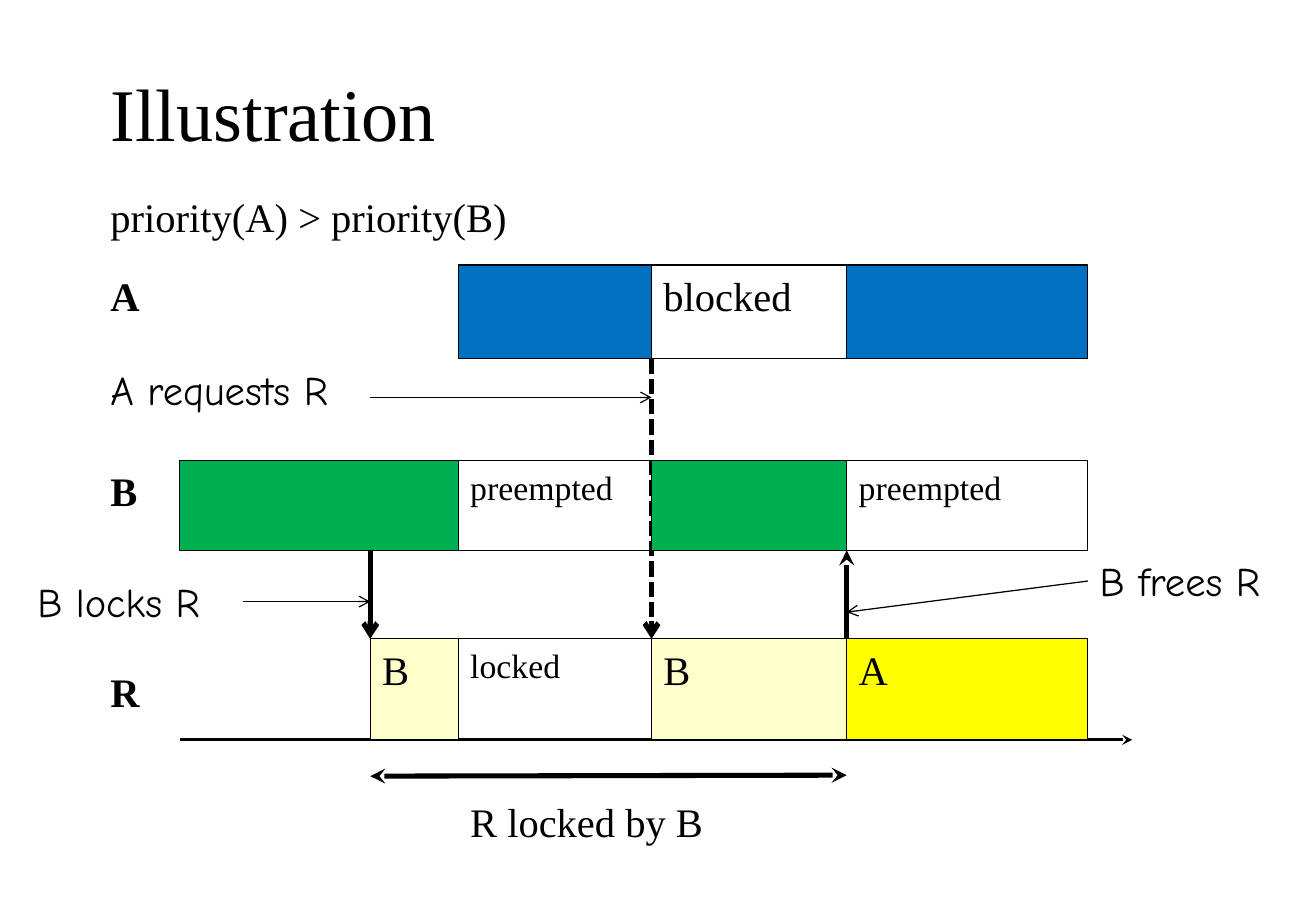
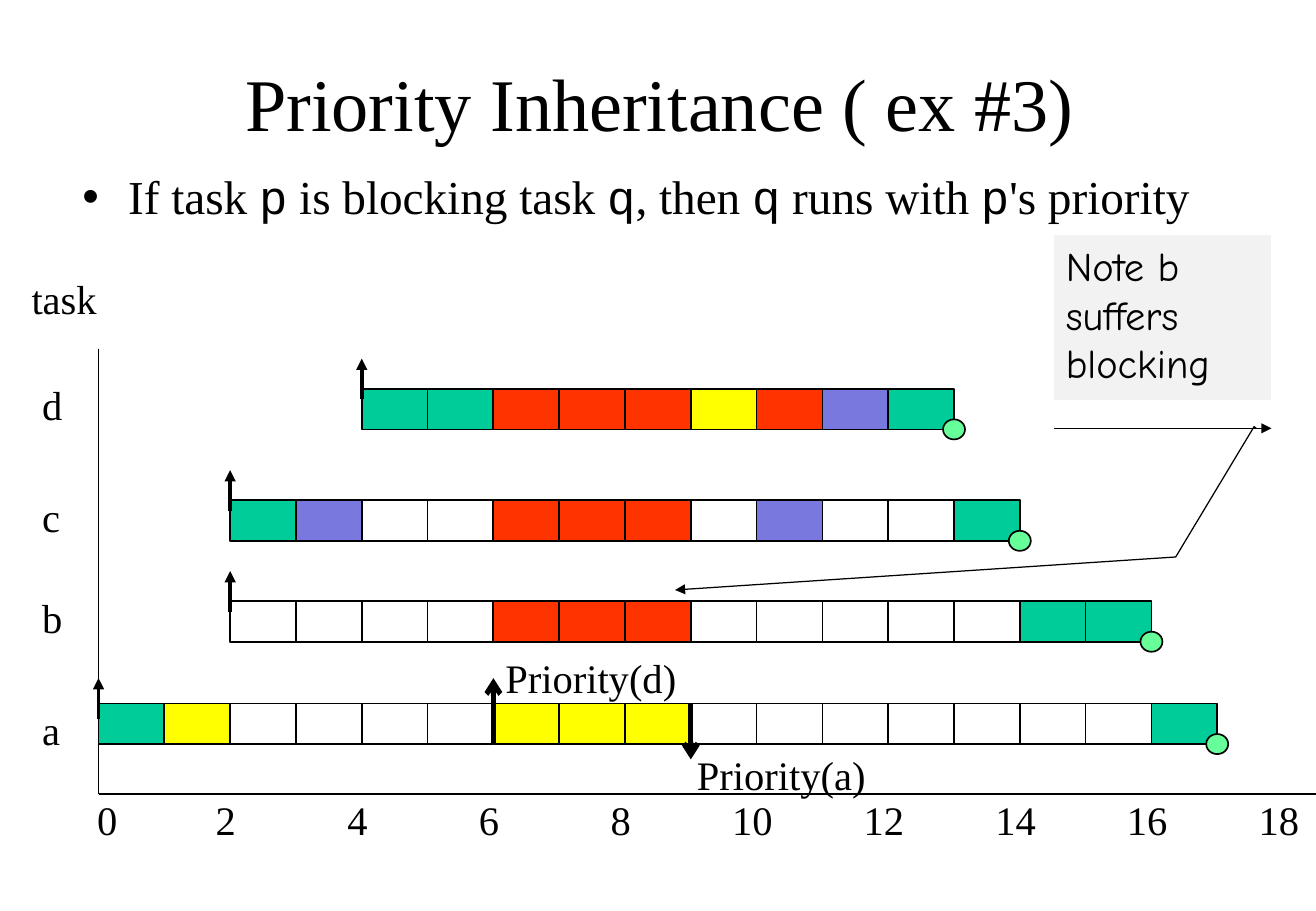
from lxml.etree import SubElement
from pptx import Presentation
from pptx.dml.color import RGBColor
from pptx.enum.dml import MSO_LINE
from pptx.enum.shapes import MSO_CONNECTOR, MSO_SHAPE
from pptx.enum.text import MSO_ANCHOR, MSO_AUTO_SIZE, PP_ALIGN
from pptx.oxml.ns import qn
from pptx.util import Cm, Pt

HUES = {
    "black": "000000", "blue": "0070C0", "green": "00B050", "cream": "FFFFCC",
    "yellow": "FFFF00", "teal": "00CC99", "red": "FF3300", "violet": "7878DE",
    "mint": "66FF99", "grey": "F2F2F2",
}
SERIF, HAND, MONO = "Times New Roman", "Comic Neue", "Courier New"
CODES = {"g": "teal", "y": "yellow", "r": "red", "v": "violet", ".": None}


def hue(name):
    return RGBColor.from_string(HUES[name])


def place(shape, box):
    shape.left, shape.top, shape.width, shape.height = map(Cm, box)


def write(para, text, size=24, font=SERIF, bold=False):
    run = para.add_run()
    run.text = text
    run.font.size = Pt(size)
    run.font.name = font
    run.font.bold = bold
    run.font.color.rgb = hue("black")


def title(slide, text, box, align):
    shape = slide.shapes.title
    place(shape, box)
    frame = shape.text_frame
    frame.auto_size = MSO_AUTO_SIZE.NONE
    frame.vertical_anchor = MSO_ANCHOR.MIDDLE
    frame.paragraphs[0].alignment = align
    write(frame.paragraphs[0], text, 44)


def label(slide, text, x, y, w, align=PP_ALIGN.LEFT, **style):
    shape = slide.shapes.add_textbox(Cm(x), Cm(y), Cm(w), Cm(1.28))
    shape.text_frame.word_wrap = True
    para = shape.text_frame.paragraphs[0]
    para.alignment = align
    write(para, text, **style)
    return shape


def block(slide, kind, box, fill, weight, text="", **style):
    shape = slide.shapes.add_shape(kind, *map(Cm, box))
    shape.shadow.inherit = False
    if fill:
        shape.fill.solid()
        shape.fill.fore_color.rgb = hue(fill)
    else:
        shape.fill.background()
    shape.line.color.rgb = hue("black")
    shape.line.width = Pt(weight)
    if text:
        frame = shape.text_frame
        frame.vertical_anchor = MSO_ANCHOR.TOP
        frame.paragraphs[0].alignment = PP_ALIGN.LEFT
        write(frame.paragraphs[0], text, **style)
    return shape


def tip(shape, end, kind):
    outline = shape.element.spPr.find(qn("a:ln"))
    SubElement(outline, qn(f"a:{end}End"), type=kind)


def line(slide, x1, y1, x2, y2, weight, head=None, tail=None, dash=None):
    link = slide.shapes.add_connector(
        MSO_CONNECTOR.STRAIGHT, Cm(x1), Cm(y1), Cm(x2), Cm(y2))
    link.line.color.rgb = hue("black")
    link.line.width = Pt(weight)
    if dash:
        link.line.dash_style = dash
    for end, kind in (("head", head), ("tail", tail)):
        if kind:
            tip(link, end, kind)
    SubElement(link.element.spPr, qn("a:effectLst"))
    return link


def lanes(slide, box):
    x, y, w, h = box
    start, lock, wait, ask, free, stop = (
        x + step for step in (0, 3.98, 5.82, 9.86, 13.94, w))
    base = y + h
    rows = [
        ("A", y, 1.96, 0, [
            (wait, ask, "blue", "", 24), (ask, free, None, "blocked", 24),
            (free, stop, "blue", "", 24)]),
        ("B", y + 4.09, 1.88, 0, [
            (start, wait, "green", "", 24), (wait, ask, None, "preempted", 20),
            (ask, free, "green", "", 24), (free, stop, None, "preempted", 20)]),
        ("R", y + 7.82, 2.11, 0.46, [
            (lock, wait, "cream", "B", 24), (wait, ask, None, "locked", 20),
            (ask, free, "cream", "B", 24), (free, stop, "yellow", "A", 24)]),
    ]
    under, top = y + 5.97, y + 7.82
    line(slide, x, base, stop + 0.93, base, 2, tail="stealth")
    line(slide, lock, under, lock, top, 3, tail="arrow")
    line(slide, ask, y + 1.96, ask, top, 3, tail="arrow", dash=MSO_LINE.SQUARE_DOT)
    line(slide, free, under, free, top + 0.23, 3, head="stealth")
    for name, edge, high, drop, cells in rows:
        label(slide, name, x - 1.7, edge + drop, 1.7, bold=True)
        for left, right, fill, text, size in cells:
            block(slide, MSO_SHAPE.RECTANGLE, (left, edge, right - left, high),
                  fill, 0.75, text, size=size)
    line(slide, lock, base + 0.76, free, base + 0.74, 3, "stealth", "stealth")
    label(slide, "R locked by B", wait, base + 1.07, 5.8)

    label(slide, "A requests R", x - 1.7, y + 1.96, 5.66, font=HAND)
    line(slide, lock, y + 2.77, ask, y + 2.77, 0.75, tail="arrow")
    frees = label(slide, "B frees R", stop, under, 4.55, font=HAND)
    link = line(slide, stop, under + 0.64, free, under + 1.29, 0.75, tail="arrow")
    link.begin_connect(frees, 1)
    locks = label(slide, "B locks R", x - 3.23, under + 0.43, 4.55, font=HAND)
    link = line(slide, x + 1.32, under + 1.07, lock, under + 1.07, 0.75, tail="arrow")
    link.begin_connect(locks, 3)


def chart(slide, box):
    x, y, w, h = box
    unit, high = w / 18.5, 0.85
    line(slide, x, y, x, y + h, 1)
    line(slide, x, y + h, x + w, y + h, 1)
    label(slide, "task", x - 1.65, y - 1.68, 2.2)
    rows = [
        ("d", 0.84, 4, "ggrrryrvg", 0.63, 0.3),
        ("c", 3.17, 2, "gv..rrr.v..g", 0.63, 0.3),
        ("b", 5.28, 2, "....rrr.....gg", 0.63, 0.3),
        ("a", 7.42, 0, "gy....yyy.......g", 0.53, 0.1),
    ]
    for name, drop, start, cells, rise, lift in rows:
        top = y + drop
        label(slide, name, x - 1.43, top - lift, 1.2)
        for spot, code in enumerate(cells, start):
            block(slide, MSO_SHAPE.RECTANGLE, (x + spot * unit, top, unit, high),
                  CODES[code], 1)
        left, right = x + start * unit, x + (start + len(cells)) * unit
        line(slide, left, top - rise, left, top - rise + high, 2.25, head="triangle")
        block(slide, MSO_SHAPE.OVAL, (right - 0.23, top + high - 0.21, 0.46, 0.42),
              "mint", 1)
    for tick in range(0, 19, 2):
        shift = -0.09 if tick else 0.18
        label(slide, str(tick), x + tick * unit + shift - 0.8, y + h - 0.1, 1.6,
              PP_ALIGN.CENTER)
    up, down = x + 6 * unit, x + 9 * unit
    line(slide, up, top + high, up, top - 0.53, 3, tail="arrow")
    line(slide, down, top, down, top + 1.17, 3, tail="arrow")
    label(slide, "Priority(d)", up, top - 1.17, 4.5)
    label(slide, "Priority(a)", down - 0.12, top + high, 4.5)


def note(slide, box):
    shape = block(slide, MSO_SHAPE.LINE_CALLOUT_3_ACCENT_BAR, box, "grey", 0.75,
                  "Note b suffers blocking", font=HAND)
    shape.rotation = 270
    bends = (0.93, -0.17, 0.92, -0.16, 0.56, -0.95, -1.74, -1.15)
    for spot, bend in enumerate(bends):
        shape.adjustments[spot] = bend
    shape.text_frame.word_wrap = True
    shape.text_frame._txBody.bodyPr.set("vert", "vert")
    tip(shape, "tail", "triangle")


def rule(slide, box):
    body = slide.placeholders[1]
    place(body, box)
    body.text_frame.auto_size = MSO_AUTO_SIZE.NONE
    para = body.text_frame.paragraphs[0]
    parts = ("If task ", "p", " is blocking task ", "q", ", then ", "q",
             " runs with ", "p", "'s priority")
    for spot, text in enumerate(parts):
        write(para, text, 28, MONO if spot % 2 else SERIF)


def main():
    deck = Presentation()
    deck.slide_width, deck.slide_height = Cm(27.51), Cm(19.05)

    slide = deck.slides.add_slide(deck.slide_layouts[5])
    title(slide, "Illustration", (2.06, 1.7, 7.52, 1.27), PP_ALIGN.LEFT)
    label(slide, "priority(A) > priority(B)", 2.06, 3.89, 9.5)
    lanes(slide, (3.76, 5.54, 18.98, 9.93))

    slide = deck.slides.add_slide(deck.slide_layouts[1])
    title(slide, "Priority Inheritance ( ex #3)", (2.11, 1.07, 23.37, 2.11),
          PP_ALIGN.CENTER)
    rule(slide, (1.47, 3.38, 24.56, 2.34))
    chart(slide, (2.06, 7.29, 25.45, 9.32))
    note(slide, (22.58, 4.37, 3.45, 4.55))

    deck.save("out.pptx")


if __name__ == "__main__":
    main()
